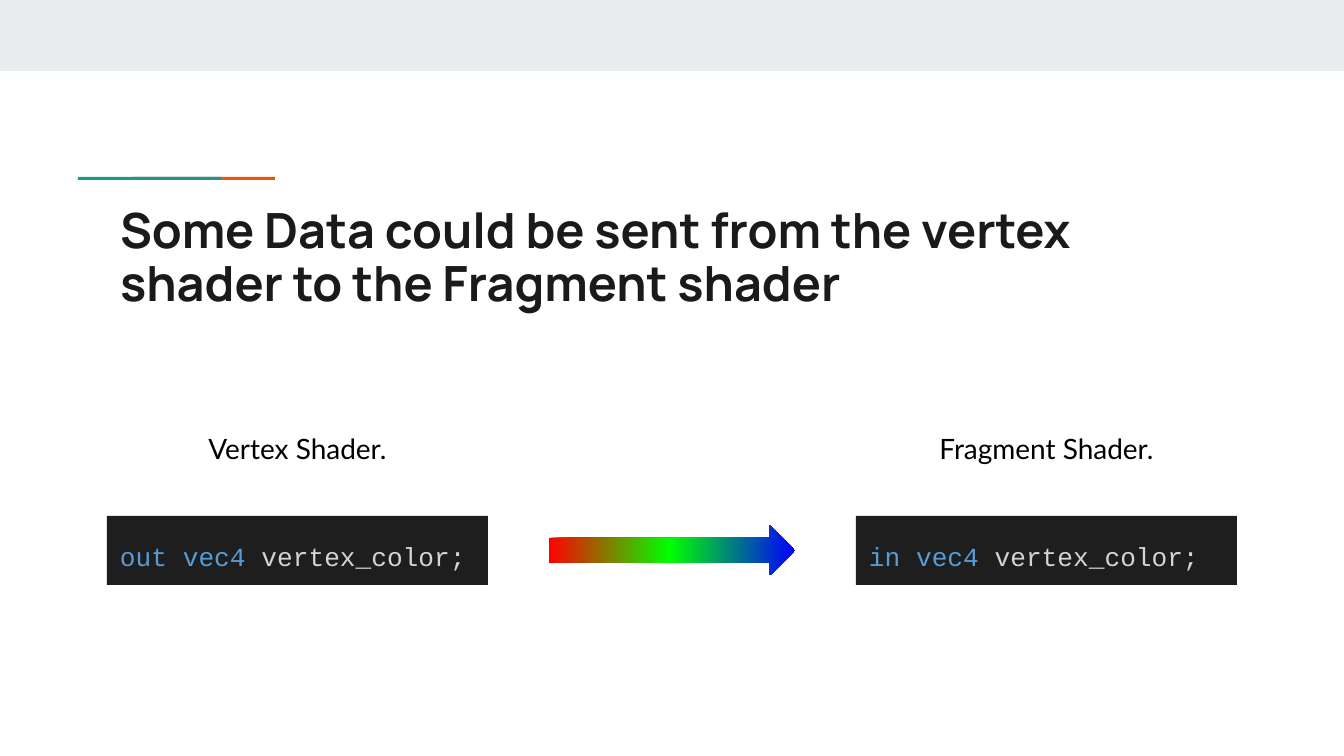
from copy import deepcopy

from pptx import Presentation
from pptx.dml.color import RGBColor
from pptx.enum.shapes import MSO_SHAPE
from pptx.enum.text import MSO_ANCHOR, PP_ALIGN
from pptx.util import Emu, Pt

RECT, ARROW = MSO_SHAPE.RECTANGLE, MSO_SHAPE.RIGHT_ARROW
TOP, MIDDLE = MSO_ANCHOR.TOP, MSO_ANCHOR.MIDDLE
LEFT, CENTER = PP_ALIGN.LEFT, PP_ALIGN.CENTER

PX = 914400 / 134.4
WIDTH, HEIGHT = 1344, 756
MARGIN = 107
INSET = 13

TITLE = "Some Data could be sent from the vertex shader to the Fragment shader"
KEYWORD, PLAIN, CODE_BACK = "569CD6", "D4D4D4", "1E1E1E"
SHADERS = [("Vertex Shader.", "out"), ("Fragment Shader.", "in")]
BANDS = [  # left, top, width, height, colour
    (0, 0, WIDTH, 71, "E9EDEE"),
    (133, 177, 142, 3, "EB5600"),
    (78, 177, 143, 3, "1A9988"),
]
RAINBOW = [(0, "FF0000"), (0.49, "00FF00"), (1, "0000FF")]

CODE_WIDTH, CODE_HEIGHT, CODE_TOP = 381, 69, 516
LABEL_WIDTH, LABEL_HEIGHT, LABEL_TOP = 246, 82, 407
ARROW_WIDTH, ARROW_HEIGHT = 246, 50


def px(length):
    return Emu(round(length * PX))


def rgb(value):
    return RGBColor.from_string(value)


def add_shape(kind, left, top, width, height, color=None):
    shape = slide.shapes.add_shape(kind, px(left), px(top), px(width), px(height))
    shape.shadow.inherit = False
    shape.line.fill.background()
    if color:
        shape.fill.solid()
        shape.fill.fore_color.rgb = rgb(color)
    return shape


def set_text(shape, runs, font_name, size, anchor=TOP, align=LEFT, bold=False):
    frame = shape.text_frame
    frame.word_wrap = True
    frame.vertical_anchor = anchor
    frame.margin_left = frame.margin_right = px(INSET)
    frame.margin_top = frame.margin_bottom = px(INSET)
    paragraph = frame.paragraphs[0]
    paragraph.alignment = align
    font = paragraph.font
    font.name, font.size, font.bold = font_name, Pt(size), bold
    for text, color in runs:
        run = paragraph.add_run()
        run.text = text
        run.font.color.rgb = rgb(color)
    return paragraph


prs = Presentation()
prs.slide_width, prs.slide_height = px(WIDTH), px(HEIGHT)
slide = prs.slides.add_slide(prs.slide_layouts[5])

# Header band and accent line
for *box, color in BANDS:
    add_shape(RECT, *box, color)

# Title
title = slide.shapes.title
title.left, title.top = px(MARGIN), px(194)
title.width, title.height = px(WIDTH - 2 * MARGIN), px(144)
heading = set_text(title, [(TITLE, "1A1A1A")], "Manrope", 26, bold=True)
heading.line_spacing = 0.9

# Code boxes at both margins, each with a centred label above
for index, (label, qualifier) in enumerate(SHADERS):
    left = MARGIN + index * (WIDTH - 2 * MARGIN - CODE_WIDTH)
    code_box = add_shape(RECT, left, CODE_TOP, CODE_WIDTH, CODE_HEIGHT, CODE_BACK)
    code = [(qualifier, KEYWORD), (" ", PLAIN), ("vec4", KEYWORD),
            (" vertex_color;", PLAIN)]
    set_text(code_box, code, "Courier New", 14).line_spacing = 1.36

    label_left = left + (CODE_WIDTH - LABEL_WIDTH) / 2
    label_box = slide.shapes.add_textbox(
        px(label_left), px(LABEL_TOP), px(LABEL_WIDTH), px(LABEL_HEIGHT))
    set_text(label_box, [(label, "000000")], "Lato", 15, MIDDLE, CENTER)

# Rainbow arrow midway between the code boxes
arrow = add_shape(ARROW, (WIDTH - ARROW_WIDTH) / 2,
                  CODE_TOP + (CODE_HEIGHT - ARROW_HEIGHT) / 2,
                  ARROW_WIDTH, ARROW_HEIGHT)
arrow.fill.gradient()
arrow.fill.gradient_angle = 0
first_stop = arrow.fill.gradient_stops[0]._gs
first_stop.addnext(deepcopy(first_stop))
for stop, (position, color) in zip(arrow.fill.gradient_stops, RAINBOW):
    stop.position = position
    stop.color.rgb = rgb(color)

prs.save("out.pptx")
